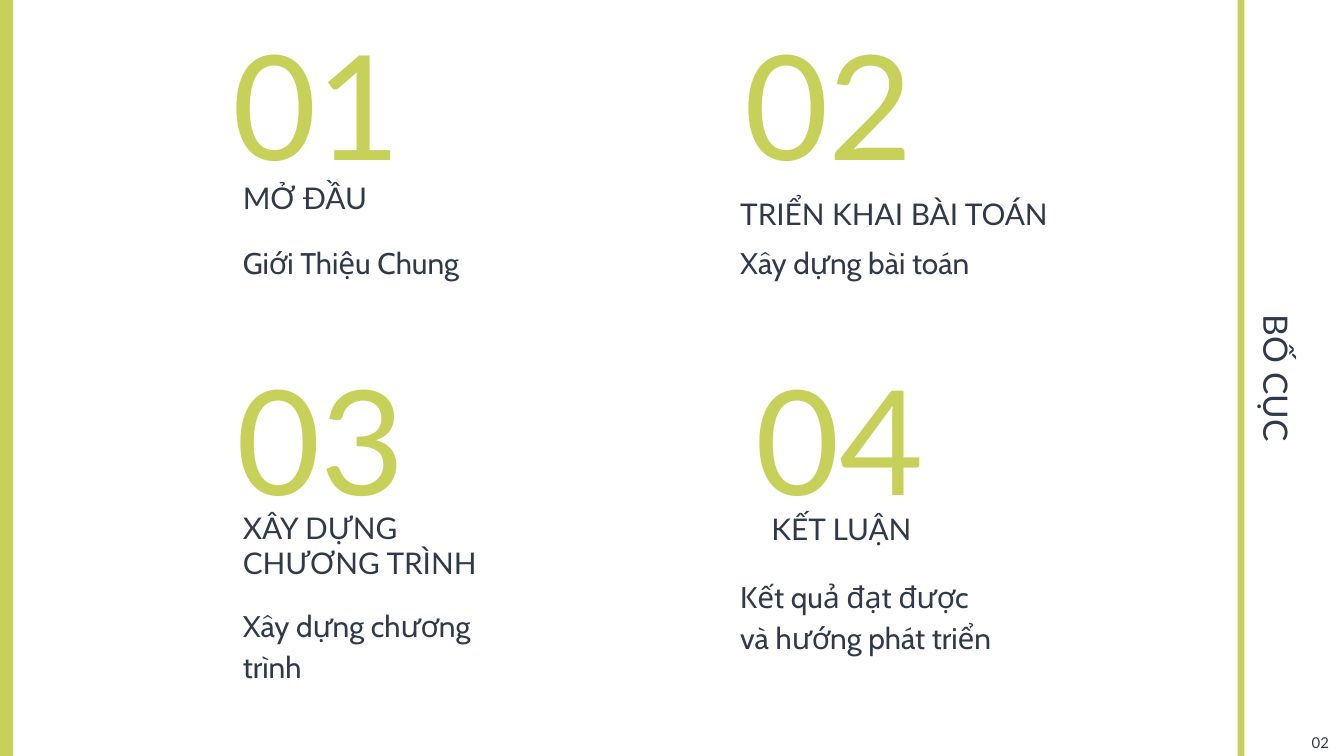
from pptx import Presentation
from pptx.util import Cm, Pt
from pptx.dml.color import RGBColor
from pptx.enum.shapes import MSO_SHAPE as Shape
from pptx.enum.text import MSO_ANCHOR as Anchor, PP_ALIGN as Align

LIME, NAVY = "C7D15A", "30394B"
PAD = 0.25

# Content: text, left, width; headings and notes also have a drop below the number
PARTS = [
    {"num": ("01", 4.14),
     "head": ("MỞ ĐẦU", 4.34, 3.4, 2.01),
     "note": ("Giới Thiệu Chung", 4.34, 5.28, 3.13)},
    {"num": ("02", 13.82),
     "head": ("TRIỂN KHAI BÀI TOÁN", 13.74, 7.32, 2.31),
     "note": ("Xây dựng bài toán", 13.74, 5.28, 3.13)},
    {"num": ("03", 4.22),
     "head": ("XÂY DỰNG CHƯƠNG TRÌNH", 4.34, 5.87, 2.59),
     "note": ("Xây dựng chương trình", 4.34, 5.97, 3.66)},
    {"num": ("04", 14.02),
     "head": ("KẾT LUẬN", 14.33, 5.51, 1.95),
     "note": ("Kết quả đạt được và hướng phát triển", 13.74, 5.28, 3.12)},
]
BARS = [(0, -0.03, 0.25), (23.39, 0, 0.13)]  # left, top, width
TOP, STEP, COLS = 1.14, 6.33, 2

deck = Presentation()
deck.slide_width, deck.slide_height = Cm(25.4), Cm(14.29)
slide = deck.slides.add_slide(deck.slide_layouts[6])


def rgb(code):
    return RGBColor.from_string(code)


def write(text, x, y, w, h, size, color=NAVY, font="Lato", anchor=Anchor.BOTTOM,
          align=Align.LEFT, space=1.0):
    box = slide.shapes.add_textbox(Cm(x), Cm(y), Cm(w), Cm(h))
    frame = box.text_frame
    frame.text = text
    frame.word_wrap = True
    frame.vertical_anchor = anchor
    frame.margin_left = frame.margin_right = Cm(PAD)
    frame.margin_top = frame.margin_bottom = Cm(PAD)
    para = frame.paragraphs[0]
    para.alignment, para.line_spacing = align, space
    face = para.runs[0].font
    face.name, face.size = font, Pt(size)
    face.color.rgb = rgb(color)
    return box


# Vertical bars
for x, y, w in BARS:
    bar = slide.shapes.add_shape(Shape.RECTANGLE, Cm(x), Cm(y), Cm(w), Cm(14.38))
    bar.shadow.inherit = False
    bar.fill.solid()
    bar.fill.fore_color.rgb = rgb(LIME)
    bar.line.fill.background()

# Four sections, two to a row
for i, part in enumerate(PARTS):
    y = TOP + i // COLS * STEP
    num, x = part["num"]
    write(num, x, y, 4.88, 1.6, 78, LIME, anchor=Anchor.MIDDLE)
    head, x, w, drop = part["head"]
    write(head, x, y + drop, w, 1.17, 16)
    note, x, w, drop = part["note"]
    write(note, x, y + drop, w, 1.7, 16, font="Cabin", anchor=Anchor.TOP, space=1.15)

# Turned title and page number
title = write("BỐ CỤC", 19.84, 5.97, 9.68, 2.36, 18, align=Align.CENTER)
title.rotation = 90
write("02", 24.54, 13.31, 1.32, 1.07, 8)

deck.save("out.pptx")
